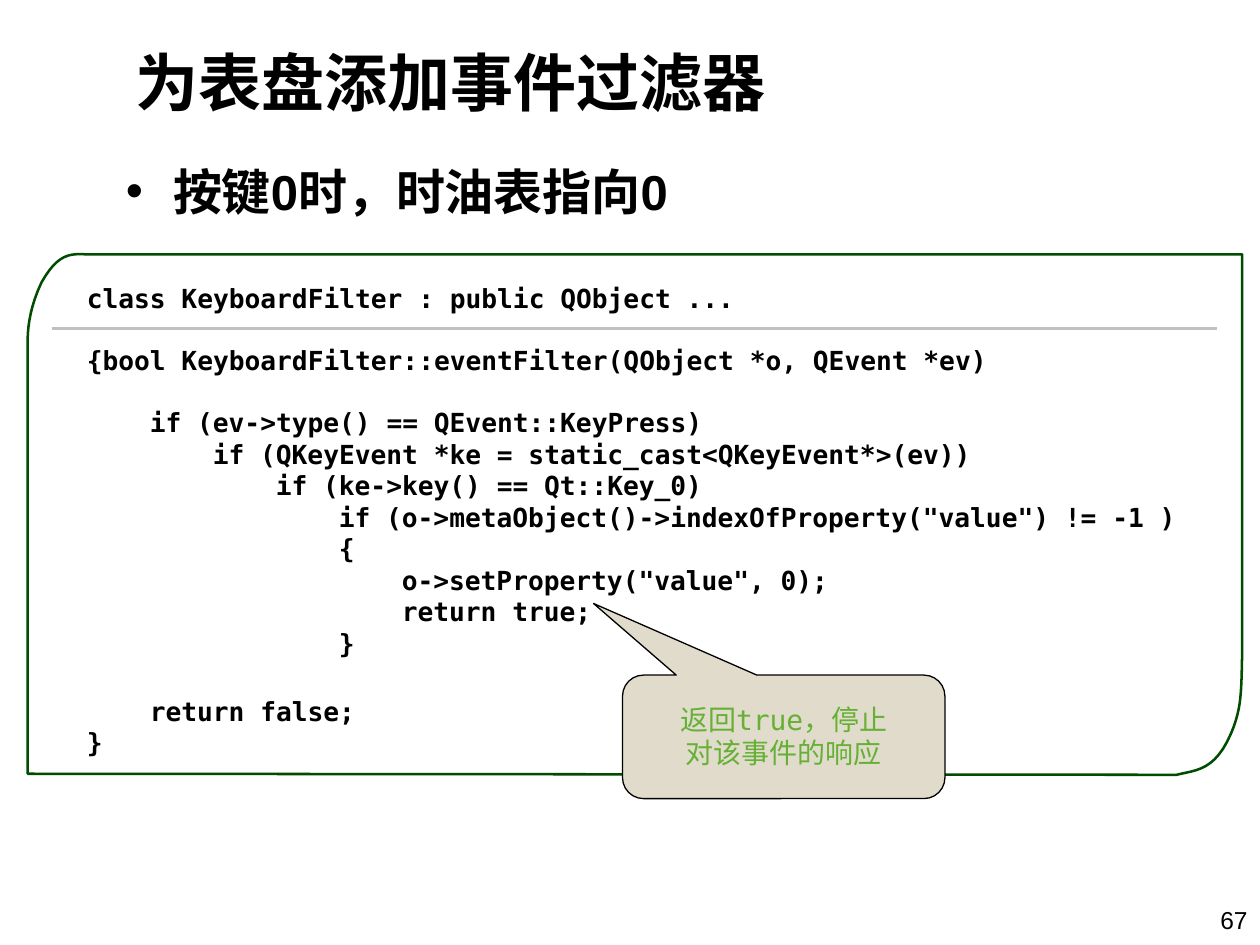
from lxml import etree
from pptx import Presentation
from pptx.dml.color import RGBColor
from pptx.enum.shapes import MSO_CONNECTOR, MSO_SHAPE
from pptx.enum.text import MSO_ANCHOR, PP_ALIGN
from pptx.oxml.ns import qn
from pptx.util import Cm, Pt

LEFT, CENTER, RIGHT = PP_ALIGN.LEFT, PP_ALIGN.CENTER, PP_ALIGN.RIGHT
TOP, MIDDLE = MSO_ANCHOR.TOP, MSO_ANCHOR.MIDDLE
STRAIGHT = MSO_CONNECTOR.STRAIGHT
CALLOUT = MSO_SHAPE.ROUNDED_RECTANGULAR_CALLOUT

COLORS = {
    "text": "000000",
    "frame": "004C00",
    "divider": "C0C0C0",
    "callout": "E0DBCA",
    "note": "66B036",
}
SANS, MONO = "Arial", "DejaVu Sans Mono"

TITLE = "为表盘添加事件过滤器"
BULLET = "按键0时，时油表指向0"
PAGE_NUMBER = "67"
NOTE = ["返回true，停止", "对该事件的响应"]

# (indent level, points of space before, code)
CODE = [
    (0, 0, "class KeyboardFilter : public QObject ..."),
    (0, 17.5, "{bool KeyboardFilter::eventFilter(QObject *o, QEvent *ev)"),
    (1, 17.5, "if (ev->type() == QEvent::KeyPress)"),
    (2, 0, "if (QKeyEvent *ke = static_cast<QKeyEvent*>(ev))"),
    (3, 0, "if (ke->key() == Qt::Key_0)"),
    (4, 0, 'if (o->metaObject()->indexOfProperty("value") != -1 )'),
    (4, 0, "{"),
    (5, 0, 'o->setProperty("value", 0);'),
    (5, 0, "return true;"),
    (4, 0, "}"),
    (1, 21, "return false;"),
    (0, 0, "}"),
]
INDENT = Cm(1.27)

FRAME_START = (1.75, 5.13)
FRAME_SEGMENTS = [
    [(25.04, 5.13)],
    [(25.04, 13.21)],
    [(25.02, 13.92), (25.04, 14.25), (24.82, 14.78)],
    [(24.49, 15.54), (24.13, 15.52), (23.72, 15.62)],
    [(0.56, 15.6)],
    [(0.56, 7.09)],
    [(0.56, 6.91), (0.51, 6.38), (0.84, 5.69)],
    [(1.17, 5.11), (1.42, 5.11), FRAME_START],
]
CURVE_STEPS = 12


def color(name):
    return RGBColor.from_string(COLORS[name])


def write(shape, lines, size, font=SANS, fill="text", bold=False, align=LEFT,
          anchor=TOP, insets=(0.25, 0.13, 0.25, 0.13)):
    frame = shape.text_frame
    frame.word_wrap = True
    frame.vertical_anchor = anchor
    frame.margin_left, frame.margin_top, frame.margin_right, frame.margin_bottom = map(Cm, insets)
    for index, line in enumerate(lines):
        paragraph = frame.add_paragraph() if index else frame.paragraphs[0]
        paragraph.alignment = align
        run = paragraph.add_run()
        run.text = line
        run.font.name = font
        run.font.size = Pt(size)
        run.font.bold = bold
        run.font.color.rgb = color(fill)
    return frame.paragraphs


def text_box(slide, box, lines, **style):
    return write(slide.shapes.add_textbox(*map(Cm, box)), lines, **style)


def set_margins(paragraph, left, first=0):
    properties = paragraph._p.get_or_add_pPr()
    properties.set("marL", str(left))
    properties.set("indent", str(first))
    return properties


def curve_points(start, first, second, end):
    for step in range(1, CURVE_STEPS + 1):
        t = step / CURVE_STEPS
        weights = ((1 - t) ** 3, 3 * t * (1 - t) ** 2, 3 * t * t * (1 - t), t ** 3)
        yield tuple(
            sum(weight * value for weight, value in zip(weights, axis))
            for axis in zip(start, first, second, end)
        )


def add_frame(slide):
    points = [FRAME_START]
    for segment in FRAME_SEGMENTS:
        points.extend(curve_points(points[-1], *segment) if len(segment) == 3 else segment)
    points = [(Cm(x), Cm(y)) for x, y in points]
    builder = slide.shapes.build_freeform(*points[0])
    builder.add_line_segments(points[1:], close=True)
    shape = builder.convert_to_shape()
    shape.shadow.inherit = False
    shape.fill.background()
    shape.line.color.rgb = color("frame")
    shape.line.width = Pt(1.45)


def add_code(slide):
    paragraphs = text_box(slide, (1.5, 5.54, 22.4, 9.58), [code for _, _, code in CODE],
                          size=15, font=MONO, bold=True, insets=(0.25, 0.15, 0, 0.13))
    for paragraph, (level, space, _) in zip(paragraphs, CODE):
        set_margins(paragraph, level * INDENT)
        paragraph.space_before = Pt(space)


def add_divider(slide):
    line = slide.shapes.add_connector(STRAIGHT, Cm(1.04), Cm(6.63), Cm(24.54), Cm(6.63))
    line.line.color.rgb = color("divider")
    line.line.width = Pt(1.7)
    etree.SubElement(line._element.spPr, qn("a:effectLst"))


def add_callout(slide):
    shape = slide.shapes.add_shape(CALLOUT, Cm(12.55), Cm(13.61), Cm(6.5), Cm(2.49))
    for index, value in enumerate((-0.59, -1.08, 0.17)):
        shape.adjustments[index] = value
    shape.shadow.inherit = False
    shape.fill.solid()
    shape.fill.fore_color.rgb = color("callout")
    shape.line.color.rgb = color("text")
    shape.line.width = Pt(0.75)
    write(shape, NOTE, size=16, font=MONO, fill="note", align=CENTER, anchor=MIDDLE)
    for paragraph in shape.text_frame.paragraphs:
        paragraph.line_spacing = 0.98


def main():
    presentation = Presentation()
    presentation.slide_width, presentation.slide_height = Cm(25.4), Cm(19.05)
    slide = presentation.slides.add_slide(presentation.slide_layouts[6])

    text_box(slide, (2.49, 0.53, 14.81, 2.21), [TITLE], size=36, bold=True, anchor=MIDDLE)
    bullet = text_box(slide, (2.29, 3.12, 22, 14.6), [BULLET], size=28, bold=True)[0]
    properties = set_margins(bullet, Cm(0.95), -Cm(0.95))
    etree.SubElement(properties, qn("a:buFont"), typeface=SANS)
    etree.SubElement(properties, qn("a:buChar"), char="•")
    text_box(slide, (21.31, 18.11, 4.09, 0.94), [PAGE_NUMBER], size=14, align=RIGHT)

    add_frame(slide)
    add_code(slide)
    add_divider(slide)
    add_callout(slide)
    presentation.save("out.pptx")


if __name__ == "__main__":
    main()
